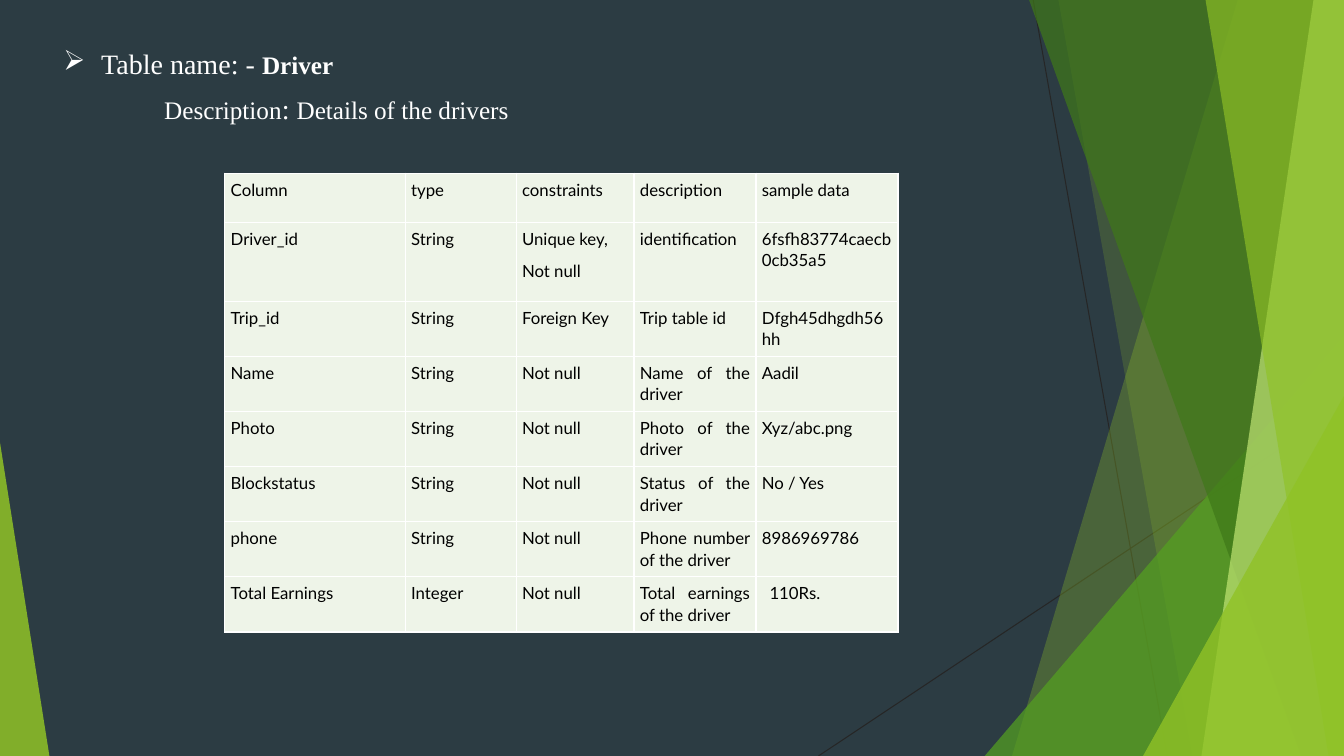
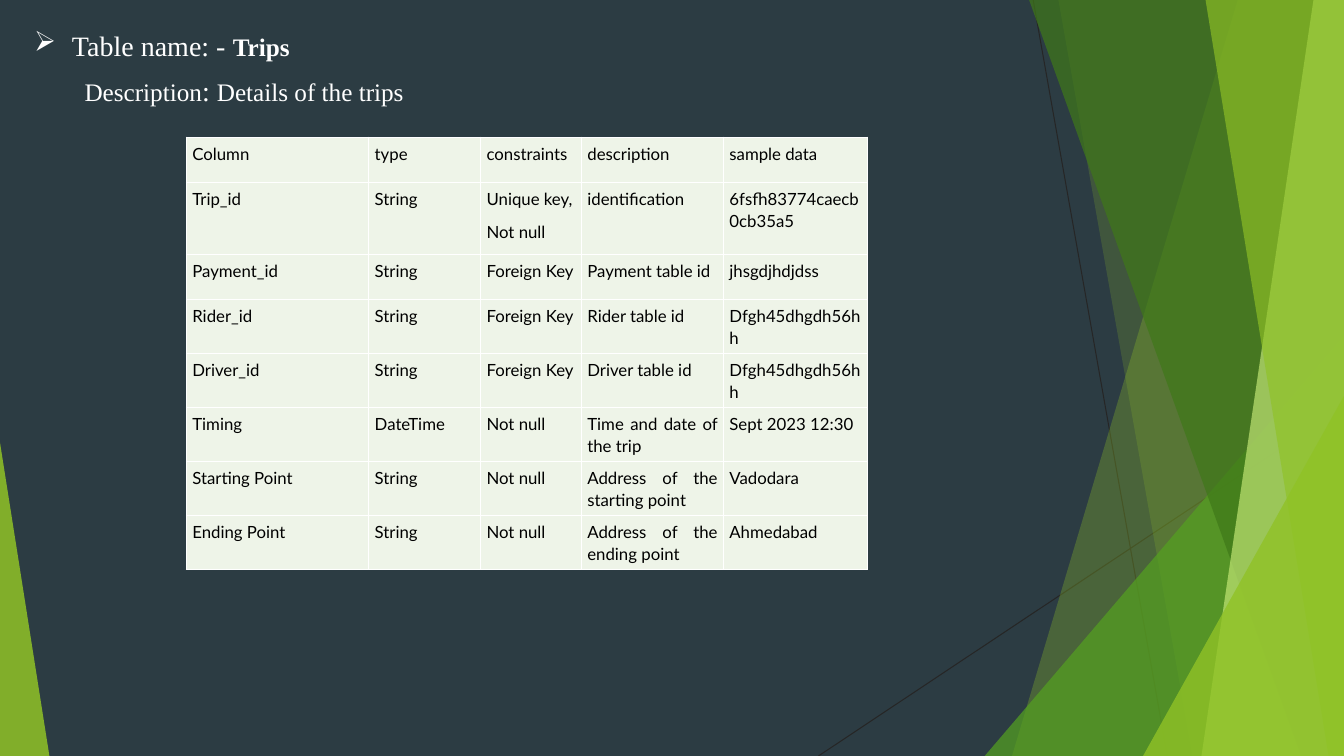
from dataclasses import dataclass
from typing import NamedTuple

from lxml.etree import SubElement
from pptx import Presentation
from pptx.dml.color import RGBColor
from pptx.enum.shapes import MSO_CONNECTOR, MSO_SHAPE
from pptx.enum.text import MSO_AUTO_SIZE, PP_ALIGN
from pptx.oxml.ns import qn
from pptx.util import Pt

WIDTH, HEIGHT = 960, 540


# Theme: colours, fonts and type sizes
@dataclass(frozen=True)
class Theme:
    background: str = "2C3C43"
    lime: str = "90C226"
    green: str = "54A021"
    forest: str = "3F7819"
    pale: str = "C0E474"
    hairline: str = "262626"
    cell: str = "EEF4E8"
    cell_text: str = "000000"
    white: str = "FFFFFF"
    heading_font: str = "Times New Roman"
    table_font: str = "Lato"
    label_size: float = 20
    heading_size: float = 18
    table_size: float = 12


THEME = Theme()


class Band(NamedTuple):
    """Full-height band from a slanted left side to the right slide edge."""
    top_x: float
    bottom_x: float
    color: str
    opacity: int


class Wedge(NamedTuple):
    """Triangle on the bottom edge; tip 0 leans left, tip 1 leans right."""
    left: float
    top: float
    width: float
    tip: int
    color: str
    opacity: int


class Hairline(NamedTuple):
    x1: float
    y1: float
    x2: float
    y2: float


class Phrase(NamedTuple):
    text: str
    size: float
    bold: bool = False


@dataclass(frozen=True)
class Entity:
    """One database table: its heading, its place and its fields."""
    name: str
    description: str
    heading_at: tuple[float, float]
    description_indent: float
    table_at: tuple[float, float]
    columns: tuple[float, ...]
    row_heights: tuple[float, ...]
    fields: tuple[tuple[str, ...], ...]
    last_sample_indent: float = 0


HAIRLINES = (Hairline(738, 0, 833.8, HEIGHT), Hairline(WIDTH, 290.2, 584.6, HEIGHT))

FACETS = (
    Band(884.2, 722.9, THEME.lime, 30),
    Band(756, 851.8, THEME.lime, 20),
    Wedge(703.4, 239.8, 256.6, 1, THEME.green, 72),
    Band(735.1, 929.5, THEME.forest, 70),
    Band(938.2, 858.2, THEME.pale, 70),
    Band(861.1, 949, THEME.lime, 65),
    Wedge(816.5, 282.9, 143.5, 1, THEME.lime, 80),
    Wedge(0, 316.1, 35.3, 0, THEME.lime, 85),
)

HEADER = ("Column", "type", "constraints", "description", "sample data")
KEY = "Unique key,\nNot null"

ENTITIES = (
    Entity(
        "Driver", "Details of the drivers", (38.2, 26.6), 72, (160.6, 123.8),
        (128.9, 79.2, 84.2, 87.1, 101.5), (35, 56.4) + (39.4,) * 6,
        (
            ("Driver_id", "String", KEY, "identification", "6fsfh83774caecb0cb35a5"),
            ("Trip_id", "String", "Foreign Key", "Trip table id", "Dfgh45dhgdh56hh"),
            ("Name", "String", "Not null", "Name of the driver", "Aadil"),
            ("Photo", "String", "Not null", "Photo of the driver", "Xyz/abc.png"),
            ("Blockstatus", "String", "Not null", "Status of the driver", "No / Yes"),
            ("phone", "String", "Not null", "Phone number of the driver", "8986969786"),
            ("Total Earnings", "Integer", "Not null", "Total earnings of the driver",
             "110Rs."),
        ),
        last_sample_indent=5.5,
    ),
    Entity(
        "Trips", "Details of the trips", (17.3, 13.7), 36, (133.2, 98),
        (130.3, 79.9, 72, 101.5, 103), (32.4, 51.2, 32.4) + (38.6,) * 5,
        (
            ("Trip_id", "String", KEY, "identification", "6fsfh83774caecb0cb35a5"),
            ("Payment_id", "String", "Foreign Key", "Payment table id", "jhsgdjhdjdss"),
            ("Rider_id", "String", "Foreign Key", "Rider table id", "Dfgh45dhgdh56hh"),
            ("Driver_id", "String", "Foreign Key", "Driver table id", "Dfgh45dhgdh56hh"),
            ("Timing", "DateTime", "Not null", "Time and date of the trip",
             "Sept 2023 12:30"),
            ("Starting Point", "String", "Not null", "Address of the starting point",
             "Vadodara"),
            ("Ending Point", "String", "Not null", "Address of the ending point",
             "Ahmedabad"),
        ),
    ),
)


def rgb(color: str) -> RGBColor:
    return RGBColor.from_string(color)


# Backdrop
def paint(facet, color: str, opacity: int) -> None:
    facet.shadow.inherit = False
    facet.line.fill.background()
    facet.fill.solid()
    facet.fill.fore_color.rgb = rgb(color)
    tint = facet.fill._xPr.find(qn("a:solidFill"))[0]
    SubElement(tint, qn("a:alpha"), val=str(opacity * 1000))


def draw_hairline(slide, hairline: Hairline) -> None:
    stroke = slide.shapes.add_connector(MSO_CONNECTOR.STRAIGHT, *map(Pt, hairline))
    stroke.line.color.rgb = rgb(THEME.hairline)
    stroke.line.width = Pt(0.75)
    SubElement(stroke._element.spPr, qn("a:effectLst"))


def draw_facet(slide, facet: Band | Wedge) -> None:
    if isinstance(facet, Band):
        outline = slide.shapes.build_freeform(Pt(facet.top_x), 0)
        corners = ((WIDTH, 0), (WIDTH, HEIGHT), (facet.bottom_x, HEIGHT))
        outline.add_line_segments([(Pt(x), Pt(y)) for x, y in corners], close=True)
        drawn = outline.convert_to_shape()
    else:
        drawn = slide.shapes.add_shape(
            MSO_SHAPE.ISOSCELES_TRIANGLE, Pt(facet.left), Pt(facet.top),
            Pt(facet.width), Pt(HEIGHT - facet.top))
        drawn.adjustments[0] = facet.tip
    paint(drawn, facet.color, facet.opacity)


def draw_backdrop(slide) -> None:
    for hairline in HAIRLINES:
        draw_hairline(slide, hairline)
    for facet in FACETS:
        draw_facet(slide, facet)


# Heading
def indent(paragraph, left: float, first: float = 0) -> None:
    properties = paragraph._p.get_or_add_pPr()
    properties.set("marL", str(Pt(left)))
    properties.set("indent", str(Pt(first)))


def write_heading_line(paragraph, phrases: tuple[Phrase, ...], bullet: str = "") -> None:
    paragraph.alignment = PP_ALIGN.JUSTIFY
    paragraph.line_spacing = 1.13
    paragraph.space_before = Pt(5)
    if bullet:
        SubElement(paragraph._p.get_or_add_pPr(), qn("a:buChar"), char=bullet)
    paragraph.font.name = THEME.heading_font
    paragraph.font.color.rgb = rgb(THEME.white)
    for phrase in phrases:
        run = paragraph.add_run()
        run.text = phrase.text
        run.font.size = Pt(phrase.size)
        run.font.bold = phrase.bold


def draw_heading(slide, entity: Entity) -> None:
    left, top = entity.heading_at
    frame = slide.shapes.add_textbox(Pt(left), Pt(top), Pt(480), Pt(65)).text_frame
    frame.word_wrap = True
    frame.auto_size = MSO_AUTO_SIZE.SHAPE_TO_FIT_TEXT

    title = frame.paragraphs[0]
    indent(title, 27, -27)
    write_heading_line(title, (
        Phrase("Table name: - ", THEME.label_size),
        Phrase(entity.name, THEME.heading_size, bold=True),
    ), bullet="➢")

    description = frame.add_paragraph()
    indent(description, entity.description_indent)
    write_heading_line(description, (
        Phrase("Description", THEME.heading_size),
        Phrase(": ", THEME.label_size),
        Phrase(entity.description, THEME.heading_size),
    ))


# Field table
def style_cell(cell) -> None:
    cell.margin_left = cell.margin_right = Pt(4.2)
    cell.margin_top = cell.margin_bottom = Pt(3.8)
    properties = cell._tc.get_or_add_tcPr()
    for side in ("lnL", "lnR", "lnT", "lnB"):
        border = SubElement(properties, qn(f"a:{side}"), w=str(Pt(1)))
        ink = SubElement(border, qn("a:solidFill"))
        SubElement(ink, qn("a:srgbClr"), val=THEME.white)
    cell.fill.solid()
    cell.fill.fore_color.rgb = rgb(THEME.cell)


def write_cell(cell, text: str) -> None:
    cell.text = text
    for paragraph in cell.text_frame.paragraphs:
        paragraph.alignment = PP_ALIGN.JUSTIFY
        paragraph.line_spacing = 1.06
        paragraph.space_after = Pt(8)
        paragraph.font.name = THEME.table_font
        paragraph.font.size = Pt(THEME.table_size)
        paragraph.font.bold = False
        paragraph.font.color.rgb = rgb(THEME.cell_text)


def draw_fields(slide, entity: Entity) -> None:
    rows = (HEADER, *entity.fields)
    left, top = entity.table_at
    grid = slide.shapes.add_table(
        len(rows), len(HEADER), Pt(left), Pt(top),
        Pt(sum(entity.columns)), Pt(sum(entity.row_heights))).table
    grid.first_row = grid.horz_banding = False
    for column, width in zip(grid.columns, entity.columns):
        column.width = Pt(width)
    for row, height, texts in zip(grid.rows, entity.row_heights, rows):
        row.height = Pt(height)
        for cell, text in zip(row.cells, texts):
            style_cell(cell)
            write_cell(cell, text)
    last_sample = grid.cell(len(rows) - 1, len(HEADER) - 1)
    indent(last_sample.text_frame.paragraphs[0], entity.last_sample_indent)


def main() -> None:
    deck = Presentation()
    deck.slide_width, deck.slide_height = Pt(WIDTH), Pt(HEIGHT)
    backdrop = deck.slide_master.background.fill
    backdrop.solid()
    backdrop.fore_color.rgb = rgb(THEME.background)
    for entity in ENTITIES:
        slide = deck.slides.add_slide(deck.slide_layouts[6])
        draw_backdrop(slide)
        draw_heading(slide, entity)
        draw_fields(slide, entity)
    deck.save("out.pptx")


if __name__ == "__main__":
    main()
